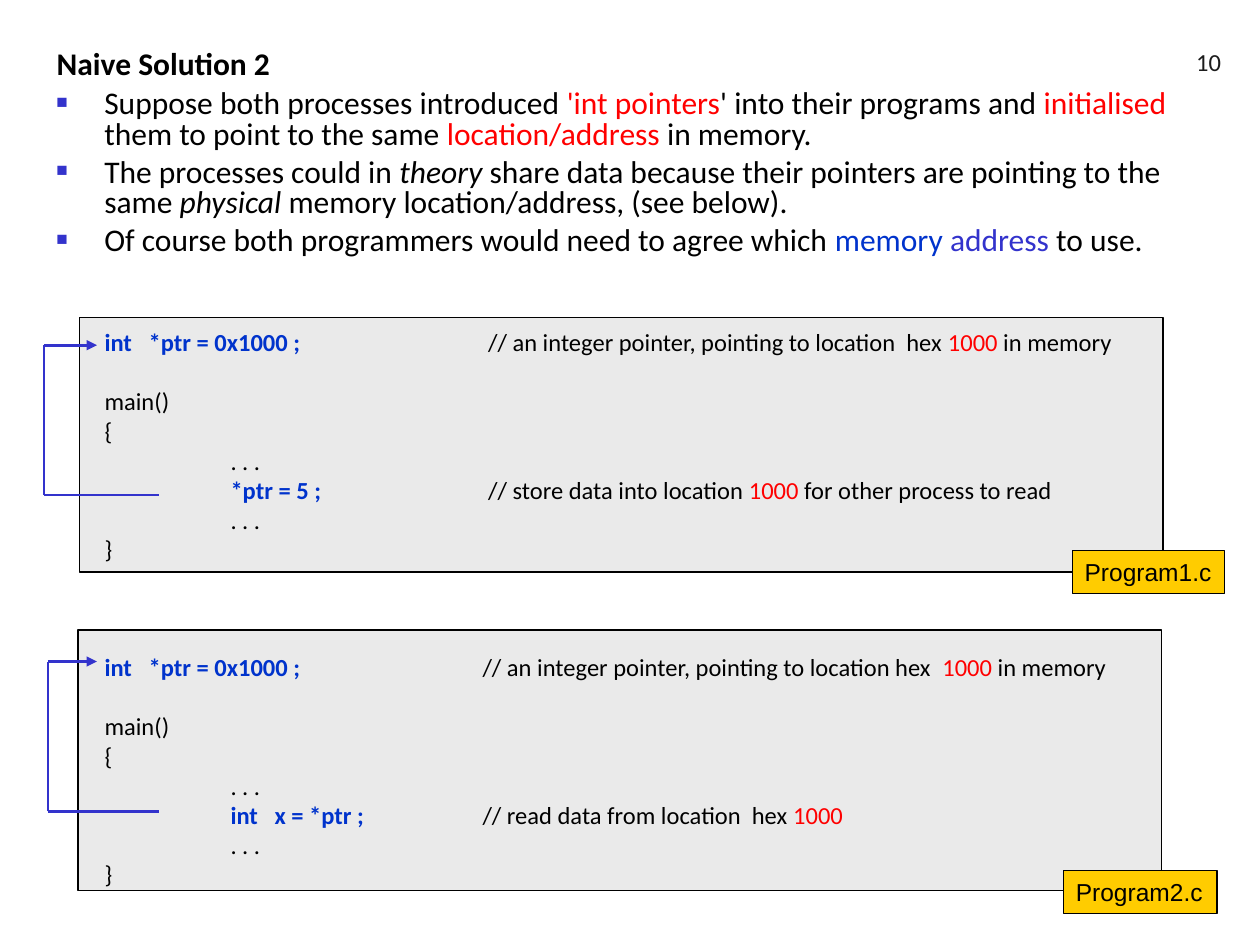
"""Build the slide 'Naive Solution 2' with its bullets and two annotated program listings."""
import pptx
import pptx.util
import pptx.dml.color
import pptx.enum.shapes
import pptx.enum.text
import pptx.oxml
import pptx.oxml.ns
import lxml.etree

Inches, Pt = pptx.util.Inches, pptx.util.Pt
RGBColor = pptx.dml.color.RGBColor
ANCHOR = pptx.enum.text.MSO_ANCHOR
ALIGN = pptx.enum.text.PP_ALIGN
RECTANGLE = pptx.enum.shapes.MSO_SHAPE.RECTANGLE
STRAIGHT = pptx.enum.shapes.MSO_CONNECTOR.STRAIGHT

BLACK = RGBColor(0x00, 0x00, 0x00)
NUMBER_GRAY = RGBColor(0x1C, 0x1C, 0x1C)
RED = RGBColor(0xFF, 0x00, 0x00)
BLUE = RGBColor(0x00, 0x33, 0xCC)
INDIGO = RGBColor(0x33, 0x33, 0xCC)
PANEL_GRAY = RGBColor(0xEA, 0xEA, 0xEA)
LABEL_YELLOW = RGBColor(0xFF, 0xCC, 0x00)

PLAIN = {}
HOT = {"color": RED}
CODE = {"color": BLUE, "bold": True}
ITALIC = {"italic": True}

TITLE = "Naive Solution 2"
SLIDE_NUMBER = "10"
BULLETS = [
    [("Suppose both processes introduced ", PLAIN), ("'int pointers", HOT),
     ("' into their programs and ", PLAIN), ("initialised", HOT),
     (" them to point to the same ", PLAIN), ("location/address", HOT),
     (" in memory. ", PLAIN)],
    [("The processes could in ", PLAIN), ("theory", ITALIC),
     (" share data because their pointers are pointing to the same ", PLAIN),
     ("physical", ITALIC), (" memory location/address, (see below).", PLAIN)],
    [("Of course both programmers would need to agree which ", PLAIN),
     ("memory ", {"color": BLUE}), ("address", {"color": INDIGO}), (" to use.", PLAIN)],
]
PROGRAMS = [
    {"panel": (0.63, 2.52, 8.6, 2.02), "inset": (0.2, 0.12),
     "label": ("Program1.c", 8.51, 4.37, 1.21), "arrow": (0.35, 2.74, 3.93),
     "declaration": [("int   *ptr = 0x1000 ;\t", CODE),
                     (" // an integer pointer, pointing to location  hex ", PLAIN),
                     ("1000", HOT), (" in memory", PLAIN)],
     "statement": [("\t", PLAIN), ("*ptr = 5 ;\t", CODE),
                   (" // store data into location ", PLAIN), ("1000", HOT),
                   (" for other process to read", PLAIN)]},
    {"panel": (0.62, 5, 8.6, 2.07), "inset": (0.21, 0.22),
     "label": ("Program2.c", 8.44, 6.91, 1.22), "arrow": (0.38, 5.25, 6.44),
     "declaration": [("int   *ptr = 0x1000 ;\t", CODE),
                     ("// an integer pointer, pointing to location hex  ", PLAIN),
                     ("1000", HOT), (" in memory", PLAIN)],
     "statement": [("\t", PLAIN), ("int   x = *ptr ;\t", CODE),
                   ("// read data from location  hex ", PLAIN), ("1000", HOT)]},
]
ARROW_TIP, ARROW_TAIL = 0.77, 1.26
CODE_TABS = (1, 3)
LINE_GAP, BLANK_LINE_GAP = 3.5, 20.5


def add_child(parent, tag, **attributes):
    child = lxml.etree.SubElement(parent, pptx.oxml.ns.qn(tag))
    for name, value in attributes.items():
        child.set(name, str(value))
    return child


def set_frame(shape, left=0.1, top=0.05, right=0.1, bottom=0.05, anchor=ANCHOR.TOP):
    frame = shape.text_frame
    frame.word_wrap = True
    frame.auto_size = pptx.enum.text.MSO_AUTO_SIZE.NONE
    frame.vertical_anchor = anchor
    frame.margin_left, frame.margin_top = Inches(left), Inches(top)
    frame.margin_right, frame.margin_bottom = Inches(right), Inches(bottom)
    return frame


def write(paragraph, runs, size, font="Calibri", spacing=None, before=0, align=ALIGN.LEFT):
    paragraph.alignment = align
    paragraph.space_before = Pt(before)
    if spacing:
        paragraph.line_spacing = spacing
    for text, style in runs:
        run = paragraph.add_run()
        run.text = text
        run.font.name, run.font.size = font, Pt(size)
        run.font.bold = style.get("bold", False)
        run.font.italic = style.get("italic", False)
        run.font.color.rgb = style.get("color", BLACK)


def next_paragraph(frame, index):
    return frame.add_paragraph() if index else frame.paragraphs[0]


def add_box(slide, left, top, width, height, color):
    box = slide.shapes.add_shape(RECTANGLE, Inches(left), Inches(top), Inches(width), Inches(height))
    box.shadow.inherit = False
    box.fill.solid()
    box.fill.fore_color.rgb = color
    box.line.color.rgb = BLACK
    box.line.width = Pt(0.74)
    return box


def add_panel(slide, program):
    left, top = program["inset"]
    frame = set_frame(add_box(slide, *program["panel"], PANEL_GRAY), left, top, 0, 0)
    dots = [("\t. . .", PLAIN)]
    lines = [program["declaration"], [("main()", PLAIN)], [("{", PLAIN)], dots,
             program["statement"], dots, [("}", PLAIN)]]
    for index, runs in enumerate(lines):
        paragraph = next_paragraph(frame, index)
        gap = BLANK_LINE_GAP if index == 1 else LINE_GAP
        write(paragraph, runs, 14, spacing=0.8, before=gap)
        tabs = add_child(paragraph._p.get_or_add_pPr(), "a:tabLst")
        for position in CODE_TABS:
            add_child(tabs, "a:tab", pos=Inches(position), algn="l")


def add_arrow(slide, side, target, source):
    points = [(ARROW_TAIL, source), (side, source), (side, target), (ARROW_TIP, target)]
    for start, end in zip(points, points[1:]):
        line = slide.shapes.add_connector(STRAIGHT, *map(Inches, start + end))
        line.line.color.rgb = INDIGO
        line.line.width = Pt(1.5)
        if end == points[-1]:
            add_child(line.line._get_or_add_ln(), "a:tailEnd", type="triangle")
        add_child(line._element.spPr, "a:effectLst")


def add_label(slide, text, left, top, width):
    frame = set_frame(add_box(slide, left, top, width, 0.34, LABEL_YELLOW))
    write(frame.paragraphs[0], [(text, PLAIN)], 14, font="Arial")


def add_bullets(slide):
    box = slide.shapes.add_textbox(Inches(0.35), Inches(0.67), Inches(9.44), Inches(1.5))
    frame = set_frame(box)
    for index, runs in enumerate(BULLETS):
        paragraph = next_paragraph(frame, index)
        write(paragraph, runs, 18, spacing=0.8, before=4.5)
        properties = paragraph._p.get_or_add_pPr()
        properties.set("marL", str(Inches(0.38)))
        properties.set("indent", str(-Inches(0.38)))
        add_child(add_child(properties, "a:buClr"), "a:srgbClr", val=INDIGO)
        add_child(properties, "a:buSzPct", val=60000)
        add_child(properties, "a:buFont", typeface="Arial")
        add_child(properties, "a:buChar", char="■")


def build():
    presentation = pptx.Presentation()
    presentation.slide_width, presentation.slide_height = Inches(10), Inches(7.5)
    slide = presentation.slides.add_slide(presentation.slide_layouts[5])
    title = slide.shapes.title
    title.left, title.top, title.width, title.height = map(Inches, (0.35, 0.36, 7, 0.34))
    write(set_frame(title).paragraphs[0], [(TITLE, {"bold": True})], 18, spacing=0.8)
    number = slide.shapes.add_textbox(*map(Inches, (7.71, 0.16, 2.08, 0.5)))
    write(set_frame(number, anchor=ANCHOR.BOTTOM).paragraphs[0],
          [(SLIDE_NUMBER, {"color": NUMBER_GRAY})], 14, align=ALIGN.RIGHT)
    add_bullets(slide)
    for program in PROGRAMS:
        add_panel(slide, program)
        add_arrow(slide, *program["arrow"])
        add_label(slide, *program["label"])
    presentation.save("out.pptx")


build()
